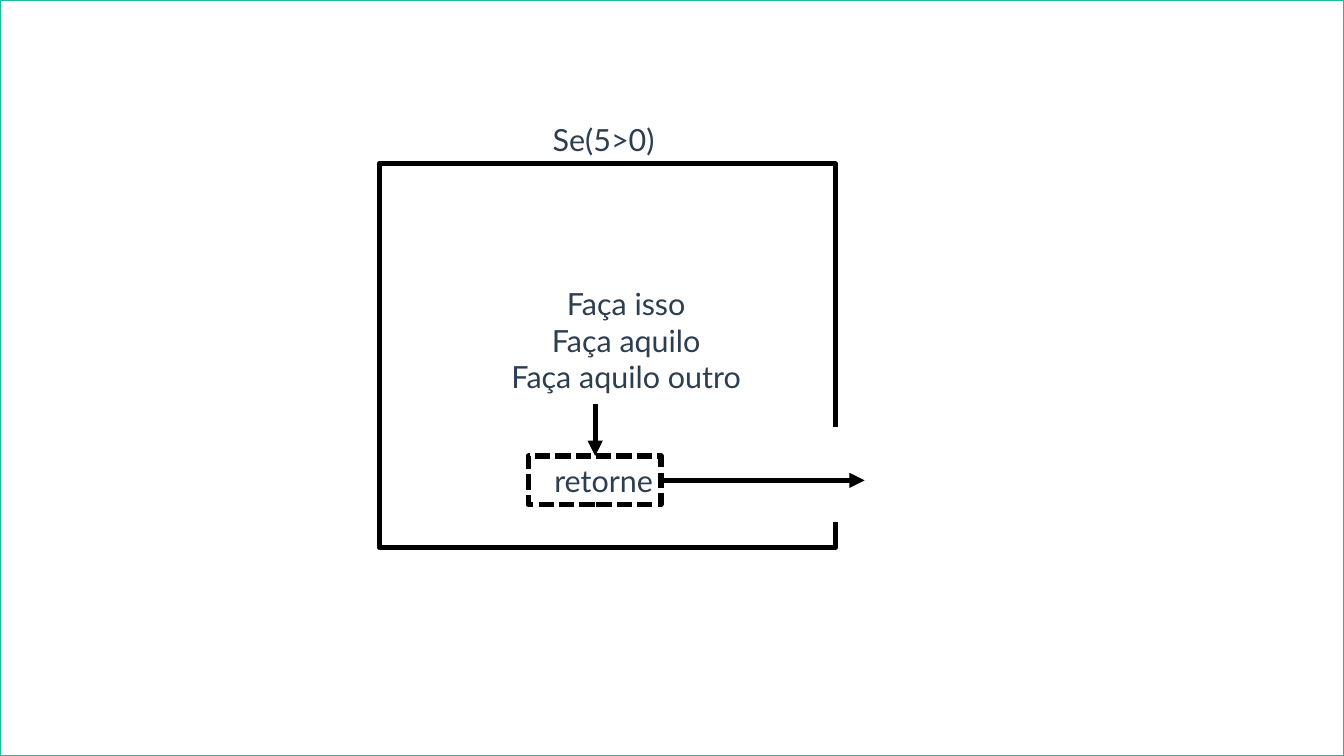
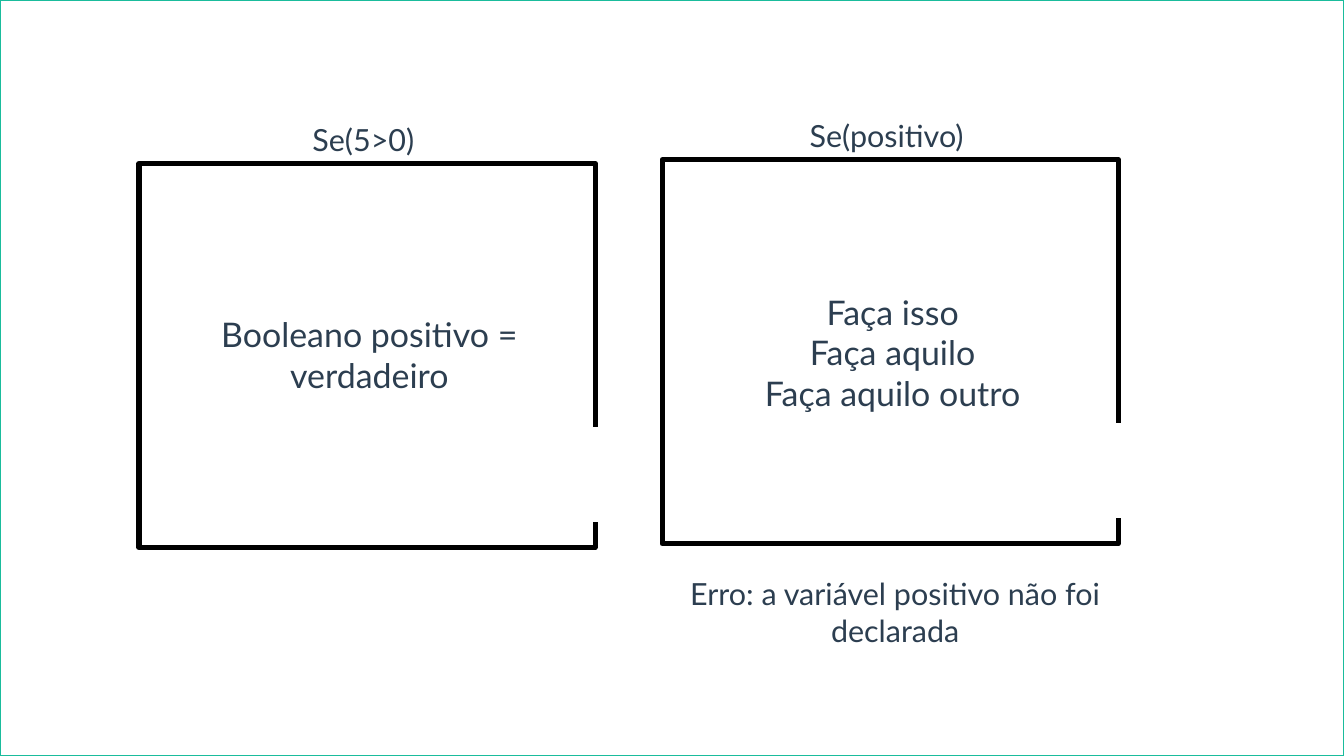
"""Builds two slides on the scope of return and of variables inside a condition."""
from lxml import etree
from pptx import Presentation
from pptx.dml.color import RGBColor
from pptx.enum.dml import MSO_LINE
from pptx.enum.shapes import MSO_CONNECTOR, MSO_SHAPE
from pptx.enum.text import MSO_ANCHOR, PP_ALIGN
from pptx.oxml.ns import qn
from pptx.util import Inches, Pt

STRAIGHT = MSO_CONNECTOR.STRAIGHT
RECTANGLE = MSO_SHAPE.RECTANGLE
DASH = MSO_LINE.SQUARE_DOT
CENTER = PP_ALIGN.CENTER
MIDDLE = MSO_ANCHOR.MIDDLE

COLORS = {"paper": "FFFFFF", "ink": "000000", "text": "2C3E50", "frame": "1ABC9C"}
FONT = "Lato"
SLIDE_WIDTH, SLIDE_HEIGHT = 11.02, 6.2
BLOCK_WIDTH, BLOCK_HEIGHT = 3.74, 3.15
LABEL_WIDTH, LABEL_HEIGHT = 2.17, 0.44
EXIT_OFFSET, EXIT_HEIGHT = 2.16, 0.78
STEPS = ["Faça isso", "Faça aquilo", "Faça aquilo outro"]


def color(name):
    """Return the named palette colour."""
    return RGBColor.from_string(COLORS[name])


def add_box(slide, left, top, width, height, line="ink", weight=3, dash=None):
    """Add a white rectangle with an outline."""
    shape = slide.shapes.add_shape(
        RECTANGLE, Inches(left), Inches(top), Inches(width), Inches(height))
    shape.shadow.inherit = False
    shape.fill.solid()
    shape.fill.fore_color.rgb = color("paper")
    shape.line.color.rgb = color(line)
    shape.line.width = Pt(weight)
    if dash:
        shape.line.dash_style = dash


def add_text(slide, left, top, width, height, lines, size=18, wrap=True):
    """Add centred text with one paragraph per line."""
    box = slide.shapes.add_textbox(
        Inches(left), Inches(top), Inches(width), Inches(height))
    frame = box.text_frame
    frame.word_wrap = wrap
    frame.vertical_anchor = MIDDLE
    for index, line in enumerate(lines):
        paragraph = frame.add_paragraph() if index else frame.paragraphs[0]
        paragraph.alignment = CENTER
        run = paragraph.add_run()
        run.text = line
        run.font.name = FONT
        run.font.size = Pt(size)
        run.font.color.rgb = color("text")


def add_line(slide, start, end, line="ink", arrow=False):
    """Add a straight line, with an arrowhead at its end if asked."""
    connector = slide.shapes.add_connector(
        STRAIGHT, *(Inches(value) for value in (*start, *end)))
    connector.line.color.rgb = color(line)
    connector.line.width = Pt(3)
    if arrow:
        etree.SubElement(connector.line._get_or_add_ln(), qn("a:tailEnd"), type="triangle")
    etree.SubElement(connector._element.spPr, qn("a:effectLst"))


def add_block(slide, left, top, condition):
    """Add a condition block with its label and an exit in the right wall."""
    add_box(slide, left, top, BLOCK_WIDTH, BLOCK_HEIGHT)
    add_text(slide, left + (BLOCK_WIDTH - LABEL_WIDTH) / 2 - 0.03, top - 0.42,
             LABEL_WIDTH, LABEL_HEIGHT, [condition])
    right, exit_top = left + BLOCK_WIDTH, top + EXIT_OFFSET
    add_line(slide, (right, exit_top), (right, exit_top + EXIT_HEIGHT), "paper")


def add_framed_slide(presentation):
    """Add a blank slide with the thin frame."""
    slide = presentation.slides.add_slide(presentation.slide_layouts[6])
    add_box(slide, 0, 0, SLIDE_WIDTH, SLIDE_HEIGHT, "frame", 0.85)
    return slide


def build_return_slide(presentation):
    """Show how a return leaves the block."""
    slide = add_framed_slide(presentation)
    add_block(slide, 3.11, 1.34, "Se(5>0)")
    add_text(slide, 4.02, 2.23, 2.23, 1.12, STEPS, wrap=False)
    add_line(slide, (4.88, 3.31), (4.88, 3.74), arrow=True)
    add_box(slide, 4.33, 3.74, 1.09, 0.4, dash=DASH)
    add_text(slide, 4.41, 3.72, 1.08, LABEL_HEIGHT, ["retorne"], wrap=False)
    add_line(slide, (5.42, 3.94), (7.09, 3.94), arrow=True)


def build_variable_slide(presentation):
    """Show that a variable of one block is unknown in the next."""
    slide = add_framed_slide(presentation)
    add_block(slide, 1.14, 1.34, "Se(5>0)")
    add_text(slide, 1.06, 2.48, 3.94, 0.86, ["Booleano positivo = verdadeiro"], 20)
    add_block(slide, 5.43, 1.31, "Se(positivo)")
    add_text(slide, 5.35, 2.27, 3.94, 1.24, STEPS, 20)
    add_text(slide, 5.47, 4.5, BLOCK_WIDTH, 1.04,
             ["Erro: a variável positivo não foi declarada"])


def main():
    """Build and save the presentation."""
    presentation = Presentation()
    presentation.slide_width = Inches(SLIDE_WIDTH)
    presentation.slide_height = Inches(SLIDE_HEIGHT)
    build_return_slide(presentation)
    build_variable_slide(presentation)
    presentation.save("out.pptx")


if __name__ == "__main__":
    main()
